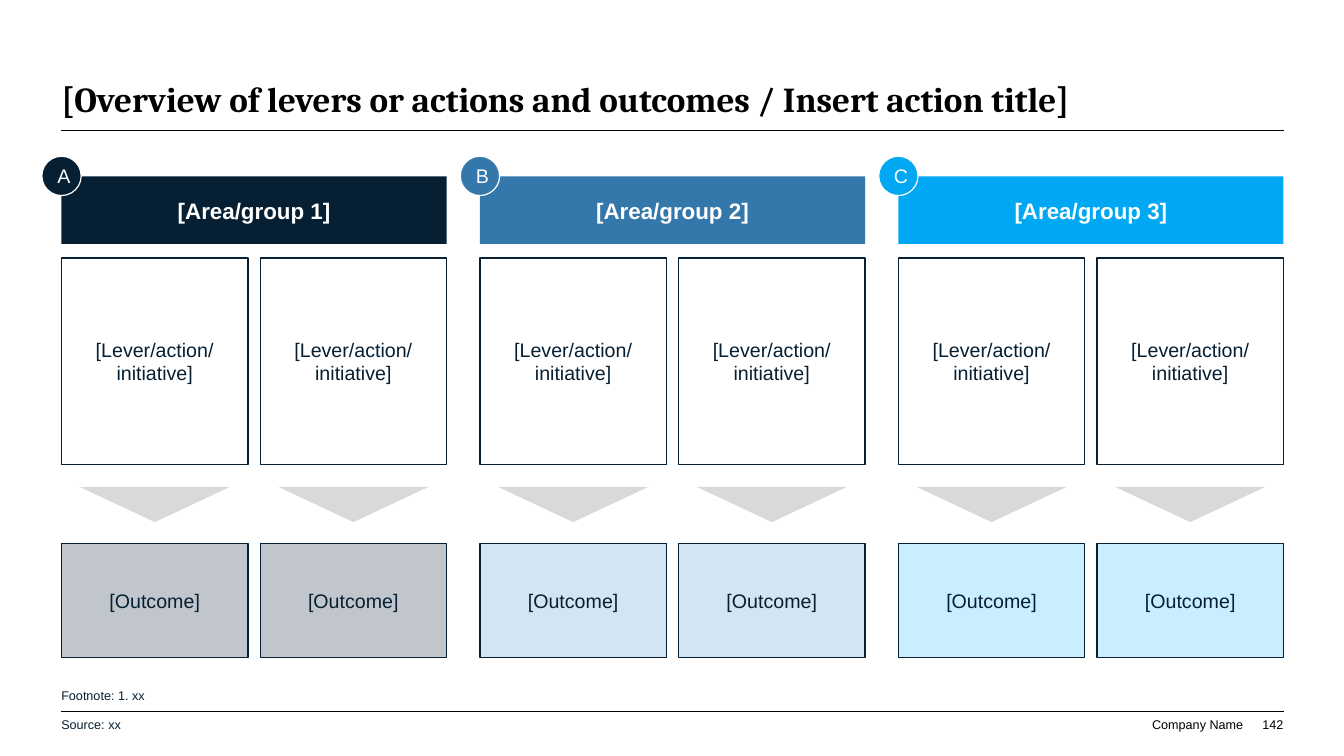
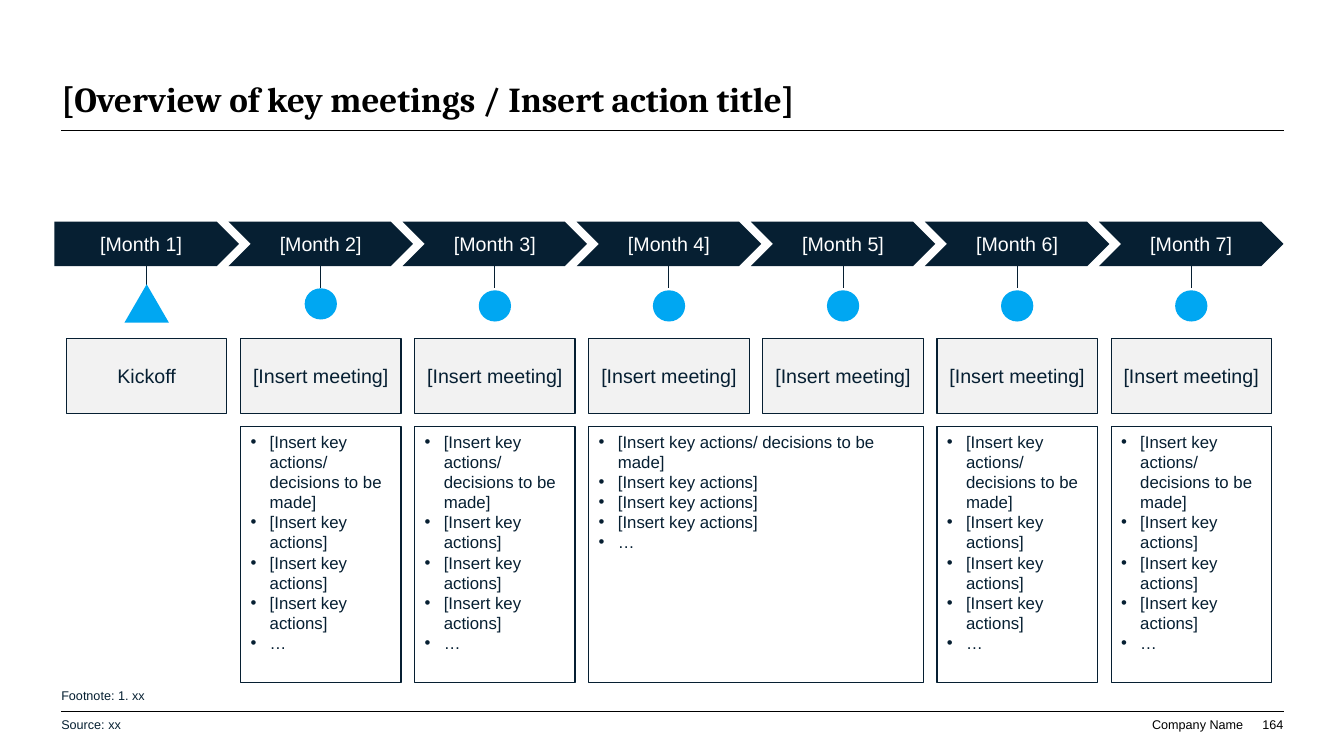
from dataclasses import dataclass

from lxml.etree import SubElement
from pptx import Presentation
from pptx.dml.color import RGBColor
from pptx.enum.shapes import MSO_CONNECTOR, MSO_SHAPE as Shape
from pptx.enum.text import MSO_ANCHOR as Anchor, PP_ALIGN as Align
from pptx.oxml.ns import qn
from pptx.util import Inches, Pt


@dataclass(frozen=True)
class Theme:
    navy: str = "061F32"
    steel: str = "3478AB"
    sky: str = "00A7F2"
    pale_steel: str = "D3E4F2"
    pale_sky: str = "C9EEFF"
    arrow_gray: str = "D9D9D9"
    box_gray: str = "F2F2F2"
    black: str = "000000"
    white: str = "FFFFFF"
    note: str = "062032"
    heading_font: str = "Cambria"
    body_font: str = "Arial"
    title_size: float = 25
    group_size: float = 16
    label_size: float = 14
    list_size: float = 12
    note_size: float = 9
    border: float = 0.85
    stem: float = 0.75
    rule: float = 0.5


THEME = Theme()
LEFT, RIGHT = 0.61, 12.73
CONTENT_WIDTH = RIGHT - LEFT


def write_text(shape, text, *, size=THEME.label_size, color=THEME.navy,
               font=THEME.body_font, bold=False, align=Align.CENTER,
               anchor=Anchor.MIDDLE, insets=(0.1, 0.05, 0.1, 0.05),
               wrap=True, bullet_indent=None):
    frame = shape.text_frame
    frame.word_wrap = wrap
    frame.vertical_anchor = anchor
    (frame.margin_left, frame.margin_top,
     frame.margin_right, frame.margin_bottom) = map(Inches, insets)
    for index, line in enumerate(text.split("\n")):
        paragraph = frame.add_paragraph() if index else frame.paragraphs[0]
        paragraph.text = line
        paragraph.alignment = align
        if bullet_indent:
            properties = paragraph._p.get_or_add_pPr()
            properties.set("marL", str(Inches(bullet_indent)))
            properties.set("indent", str(-Inches(bullet_indent)))
            SubElement(properties, qn("a:buFont")).set("typeface", "Arial")
            SubElement(properties, qn("a:buChar")).set("char", "•")
        for run in paragraph.runs:
            run.font.name = font
            run.font.size = Pt(size)
            run.font.bold = bold
            run.font.color.rgb = RGBColor.from_string(color)


class Deck:
    def __init__(self, theme):
        self.theme = theme
        self.presentation = Presentation()
        self.presentation.slide_width = Inches(13.33)
        self.presentation.slide_height = Inches(7.5)
        self.slide = None

    def start_slide(self, title, number):
        theme = self.theme
        blank = self.presentation.slide_layouts[6]
        self.slide = self.presentation.slides.add_slide(blank)
        for y in (1.29, 7.06):
            self.line(LEFT, y, RIGHT, y, theme.black, theme.rule)
        self.text(LEFT, 0.39, CONTENT_WIDTH, 0.8, title,
                  size=theme.title_size, font=theme.heading_font, bold=True,
                  color=theme.black, anchor=Anchor.BOTTOM, insets=(0, 0, 0, 0))
        for x, width, label in ((11.42, 0.91, "Company Name"),
                                (12.37, 0.36, number)):
            self.text(x, 7.11, width, 0.15, label, size=theme.note_size,
                      color=theme.black, align=Align.RIGHT,
                      anchor=Anchor.BOTTOM, insets=(0, 0, 0, 0), wrap=False)
        for y, width, note in ((6.99, 7.98, "Source: xx"),
                               (6.7, 10.27, "Footnote: 1. xx")):
            self.text(0.51, y, width, 0.4, note, size=theme.note_size,
                      color=theme.note)

    def text(self, x, y, width, height, text, align=Align.LEFT, **style):
        box = self.slide.shapes.add_textbox(
            *map(Inches, (x, y, width, height)))
        write_text(box, text, align=align, **style)

    def shape(self, kind, x, y, width, height, text="", *, fill=None,
              opacity=None, border=None, rotation=0, **style):
        shape = self.slide.shapes.add_shape(
            kind, *map(Inches, (x, y, width, height)))
        shape.shadow.inherit = False
        shape.rotation = rotation
        if fill:
            shape.fill.solid()
            shape.fill.fore_color.rgb = RGBColor.from_string(fill)
        else:
            shape.fill.background()
        if opacity:
            color = shape.fill._xPr.find(".//" + qn("a:srgbClr"))
            SubElement(color, qn("a:alpha")).set("val", str(opacity * 1000))
        if border:
            shape.line.color.rgb = RGBColor.from_string(border)
            shape.line.width = Pt(self.theme.border)
        else:
            shape.line.fill.background()
        if text:
            write_text(shape, text, **style)

    def line(self, x1, y1, x2, y2, color, weight):
        line = self.slide.shapes.add_connector(
            MSO_CONNECTOR.STRAIGHT, *map(Inches, (x1, y1, x2, y2)))
        line.line.color.rgb = RGBColor.from_string(color)
        line.line.width = Pt(weight)
        SubElement(line._element.spPr, qn("a:effectLst"))

    def save(self):
        self.presentation.save("out.pptx")


def build_levers(deck):
    theme = deck.theme
    deck.start_slide(
        "[Overview of levers or actions and outcomes / Insert action title]",
        "142")
    group_width, lever_width, arrow_width, badge = 3.82, 1.85, 1.49, 0.39
    group_pitch = (CONTENT_WIDTH - group_width) / 2
    lever_pitch = group_width - lever_width
    groups = (("A", theme.navy, theme.navy, 25),
              ("B", theme.steel, theme.pale_steel, None),
              ("C", theme.sky, theme.pale_sky, None))
    for index, (letter, color, tint, opacity) in enumerate(groups):
        group_x = LEFT + index * group_pitch
        deck.shape(Shape.RECTANGLE, group_x, 1.75, group_width, 0.67,
                   f"[Area/group {index + 1}]", fill=color, bold=True,
                   size=theme.group_size, color=theme.white)
        deck.shape(Shape.OVAL, group_x - badge / 2, 1.55, badge, badge, letter,
                   fill=color, border=theme.white, color=theme.white,
                   insets=(0.05, 0, 0, 0))
        for lever_x in (group_x, group_x + lever_pitch):
            deck.shape(Shape.RECTANGLE, lever_x, 2.56, lever_width, 2.05,
                       "[Lever/action/\vinitiative]", border=theme.navy)
            deck.shape(Shape.ISOSCELES_TRIANGLE,
                       lever_x + (lever_width - arrow_width) / 2, 4.83,
                       arrow_width, 0.35, fill=theme.arrow_gray, rotation=180)
            deck.shape(Shape.RECTANGLE, lever_x, 5.39, lever_width, 1.13,
                       "[Outcome]", fill=tint, opacity=opacity,
                       border=theme.navy)


def build_meetings(deck):
    theme = deck.theme
    deck.start_slide("[Overview of key meetings / Insert action title]", "164")
    months, month_x, month_width = 7, 0.54, 1.83
    meeting_x, meeting_width = 0.66, 1.59
    pitch = (RIGHT - month_width - month_x) / (months - 1)
    actions = "\n".join(["[Insert key actions/ decisions to be made]",
                         *["[Insert key actions]"] * 3, "…"])

    for index in range(months):
        offset = index * pitch
        center = month_x + month_width / 2 + offset
        kickoff = index == 0
        deck.line(center, 2.47, center, 2.86, theme.navy, theme.stem)
        deck.shape(Shape.PENTAGON if kickoff else Shape.CHEVRON,
                   month_x + offset, 2.2, month_width, 0.44,
                   f"[Month {index + 1}]", fill=theme.navy, color=theme.white)
        if kickoff:
            deck.shape(Shape.ISOSCELES_TRIANGLE, center - 0.22, 2.82,
                       0.44, 0.38, fill=theme.sky)
        else:
            deck.shape(Shape.OVAL, center - 0.16, 2.86 if index == 1 else 2.88,
                       0.32, 0.31, fill=theme.sky)
        deck.shape(Shape.RECTANGLE, meeting_x + offset, 3.36,
                   meeting_width, 0.74,
                   "Kickoff" if kickoff else "[Insert meeting]",
                   fill=theme.box_gray, border=theme.navy,
                   insets=(0.05, 0.05, 0.05, 0.05))

    for first, span in ((1, 1), (2, 1), (3, 2), (5, 1), (6, 1)):
        deck.shape(Shape.RECTANGLE, meeting_x + first * pitch, 4.23,
                   meeting_width + (span - 1) * pitch, 2.54, actions,
                   border=theme.navy, size=theme.list_size, align=Align.LEFT,
                   anchor=Anchor.TOP, insets=(0.1, 0.05, 0, 0.05),
                   bullet_indent=0.19)


def main():
    deck = Deck(THEME)
    build_levers(deck)
    build_meetings(deck)
    deck.save()


if __name__ == "__main__":
    main()
